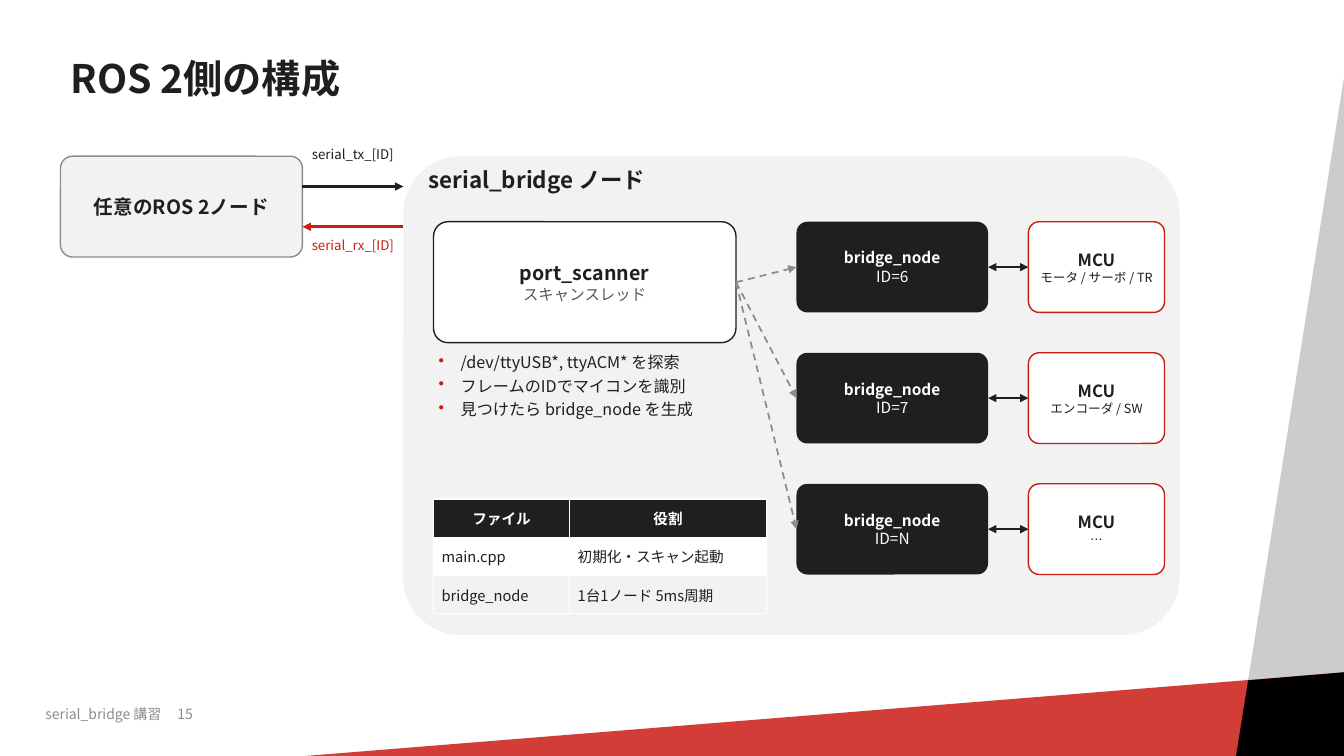
from lxml import etree
from pptx import Presentation
from pptx.dml.color import RGBColor
from pptx.enum import dml, shapes, text
from pptx.oxml import parse_xml
from pptx.oxml.ns import nsdecls, qn
from pptx.util import Inches, Pt

FONT = "Noto Sans CJK JP"
INK, RED, GREY, PALE, WHITE = "1F1F1F", "CB1C14", "8C8C8C", "F2F2F2", "FFFFFF"
color = RGBColor.from_string
LEFT, MID = text.PP_ALIGN.LEFT, text.PP_ALIGN.CENTER


def write(frame, lines, align=LEFT, after=0, marks=(), indent=0):
    """Fill a frame with (text, size, colour, bold) lines; marks are bullet or tab XML."""
    frame.word_wrap = True
    for i, (words, size, tint, bold) in enumerate(lines):
        para = frame.add_paragraph() if i else frame.paragraphs[0]
        para.text = words
        para.alignment = align
        para.space_after = Pt(after)
        props = para._p.get_or_add_pPr()
        if indent:
            props.set("marL", str(Inches(indent)))
            props.set("indent", str(-Inches(indent)))
        for mark in marks:
            props.append(parse_xml(mark))
        font = para.font
        font.size, font.bold, font.name = Pt(size), bold, FONT
        font.color.rgb = color(tint)
        etree.SubElement(props.find(qn("a:defRPr")), qn("a:ea"), typeface=FONT)


def link(start, end, tint, width, ends=("tailEnd",), dash=False):
    """Draw an arrow between two points given in inches."""
    line = slide.shapes.add_connector(shapes.MSO_CONNECTOR.STRAIGHT,
                                      *[Inches(v) for v in (*start, *end)])
    line.line.color.rgb = color(tint)
    line.line.width = Pt(width)
    if dash:
        line.line.dash_style = dml.MSO_LINE.DASH
    for tip in ends:
        etree.SubElement(line.line._get_or_add_ln(), qn("a:" + tip), type="triangle")
    etree.SubElement(line._element.spPr, qn("a:effectLst"))


deck = Presentation()
deck.slide_width, deck.slide_height = Inches(13.33), Inches(7.5)
slide = deck.slides.add_slide(deck.slide_layouts[6])

# Corner bands
bands = [
    ("CCCCCC", 100, [(13.33, 0.77), (13.33, 7.5), (12.26, 7.5)]),
    (RED, 85, [(3.03, 7.5), (13.33, 6.67), (13.33, 7.5)]),
    ("000000", 100, [(12.38, 6.75), (13.33, 6.67), (13.33, 7.5), (12.26, 7.5)]),
]
for tint, alpha, points in bands:
    spots = [(Inches(x), Inches(y)) for x, y in points]
    form = slide.shapes.build_freeform(*spots[0], scale=1.0)
    form.add_line_segments(spots[1:])
    band = form.convert_to_shape()
    band.shadow.inherit = False
    band.fill.solid()
    band.fill.fore_color.rgb = color(tint)
    band.line.fill.background()
    if alpha < 100:
        shade = band._element.spPr.find(".//" + qn("a:srgbClr"))
        etree.SubElement(shade, qn("a:alpha"), val=str(alpha * 1000))

# Boxes: place, fill, outline, lines
boxes = [
    ((0.6, 1.55, 2.4, 1), PALE, GREY, [("任意のROS 2ノード", 14, INK, True)]),
    ((4, 1.55, 7.7, 4.75), PALE, None, []),
    ((4.3, 2.2, 3, 1.2), WHITE, INK,
     [("port_scanner", 14, INK, True), ("スキャンスレッド", 11, "595959", False)]),
]
units = [("ID=6", "モータ / サーボ / TR"), ("ID=7", "エンコーダ / SW"), ("ID=N", "…")]
tops = [2.2 + 1.3 * i for i in range(len(units))]
for top, (tag, parts) in zip(tops, units):
    boxes += [
        ((7.9, top, 1.9, 0.9), INK, None,
         [("bridge_node", 11, WHITE, True), (tag, 11, WHITE, False)]),
        ((10.2, top, 1.35, 0.9), WHITE, RED,
         [("MCU", 12, INK, True), (parts, 9, INK, False)]),
    ]
for place, fill, edge, lines in boxes:
    box = slide.shapes.add_shape(shapes.MSO_SHAPE.ROUNDED_RECTANGLE,
                                 *[Inches(v) for v in place])
    box.adjustments[0] = 0.12
    box.shadow.inherit = False
    box.fill.solid()
    box.fill.fore_color.rgb = color(fill)
    if edge:
        box.line.color.rgb = color(edge)
        box.line.width = Pt(1)
    else:
        box.line.fill.background()
    frame = box.text_frame
    frame.vertical_anchor = text.MSO_ANCHOR.MIDDLE
    frame.margin_left = frame.margin_right = Inches(0.08)
    frame.margin_top = frame.margin_bottom = Inches(0.04)
    write(frame, lines, MID)

# Arrows
link((3, 1.85), (4, 1.85), INK, 2)
link((4, 2.25), (3, 2.25), RED, 2)
for top in tops:
    mid = top + 0.45
    link((7.3, 2.8), (7.9, mid), GREY, 1.25, dash=True)
    link((9.8, mid), (10.2, mid), INK, 1.75, ("headEnd", "tailEnd"))

# Free text: place, side margin, top margin, lines, paragraph options
bullet = [f'<a:buClr {nsdecls("a")}><a:srgbClr val="{RED}"/></a:buClr>',
          f'<a:buChar {nsdecls("a")} char="•"/>']
tab = [f'<a:tabLst {nsdecls("a")}><a:tab pos="{Inches(1.31)}" algn="l"/></a:tabLst>']
steps = ["/dev/ttyUSB*, ttyACM* を探索", "フレームのIDでマイコンを識別",
         "見つけたら bridge_node を生成"]
notes = [
    ((0.6, 0.35, 8.6, 0.9), 0.1, 0.05, [("ROS 2側の構成", 28, INK, True)], {"after": 4}),
    ((0.45, 7, 4, 0.3), 0, 0, [("serial_bridge 講習\t15", 10, GREY, False)],
     {"after": 4, "marks": tab}),
    ((2.8, 1.4, 1.4, 0.4), 0.05, 0.05, [("serial_tx_[ID]", 9.5, INK, False)],
     {"align": MID, "after": 4}),
    ((2.8, 2.3, 1.4, 0.4), 0.05, 0.05, [("serial_rx_[ID]", 9.5, RED, False)],
     {"align": MID, "after": 4}),
    ((4.2, 1.6, 5, 0.5), 0.05, 0.05, [("serial_bridge ノード", 16, INK, True)], {"after": 4}),
    ((4.3, 3.45, 3, 1.4), 0.05, 0.05, [(step, 11.5, INK, False) for step in steps],
     {"after": 3, "marks": bullet, "indent": 0.22}),
]
for i, (place, side, top, lines, style) in enumerate(notes):
    frame = slide.shapes.add_textbox(*[Inches(v) for v in place]).text_frame
    frame.margin_left = frame.margin_right = Inches(side)
    frame.margin_top = frame.margin_bottom = Inches(top)
    write(frame, lines, **style)
    if i == 0:
        frame.vertical_anchor = text.MSO_ANCHOR.MIDDLE
        frame.paragraphs[0].line_spacing = 0.9

# File table
rows = [("ファイル", "役割"), ("main.cpp", "初期化・スキャン起動"),
        ("bridge_node", "1台1ノード 5ms周期")]
table = slide.shapes.add_table(3, 2, Inches(4.3), Inches(4.95),
                               Inches(3.3), Inches(1.14)).table
for col, width in zip(table.columns, (1.35, 1.95)):
    col.width = Inches(width)
for r, (row, fill) in enumerate(zip(rows, (INK, WHITE, PALE))):
    table.rows[r].height = Inches(0.38)
    for c, words in enumerate(row):
        cell = table.cell(r, c)
        cell.vertical_anchor = text.MSO_ANCHOR.MIDDLE
        cell.margin_left = cell.margin_right = Inches(0.08)
        cell.margin_top = cell.margin_bottom = Inches(0.03)
        for side in "LRTB":
            cell._tc.get_or_add_tcPr().append(parse_xml(
                f'<a:ln{side} {nsdecls("a")} w="{Pt(1)}"><a:solidFill>'
                f'<a:srgbClr val="{WHITE}"/></a:solidFill></a:ln{side}>'))
        cell.fill.solid()
        cell.fill.fore_color.rgb = color(fill)
        head = r == 0
        write(cell.text_frame, [(words, 10.5, WHITE if head else INK, head)],
              MID if head else LEFT)

deck.save("out.pptx")
